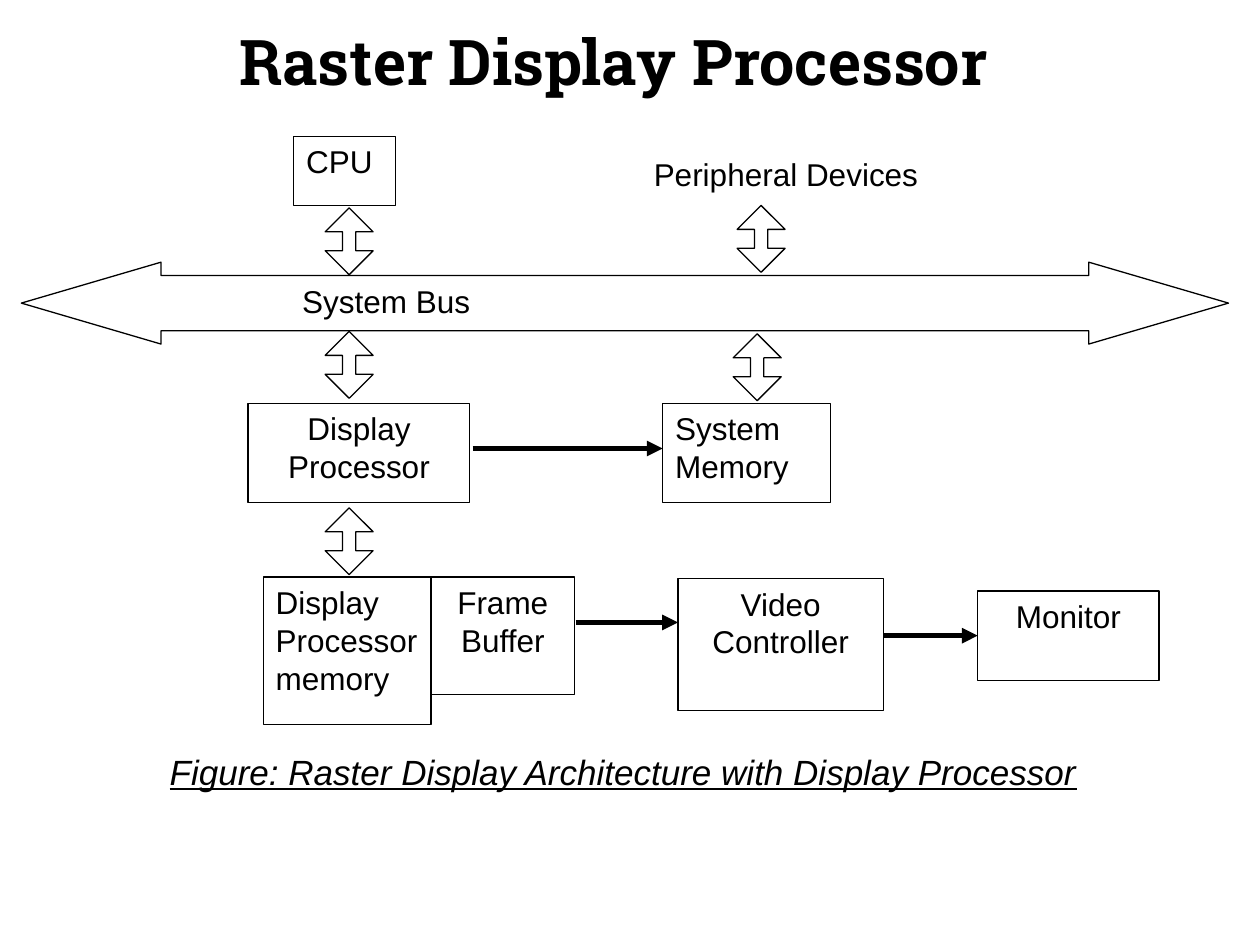
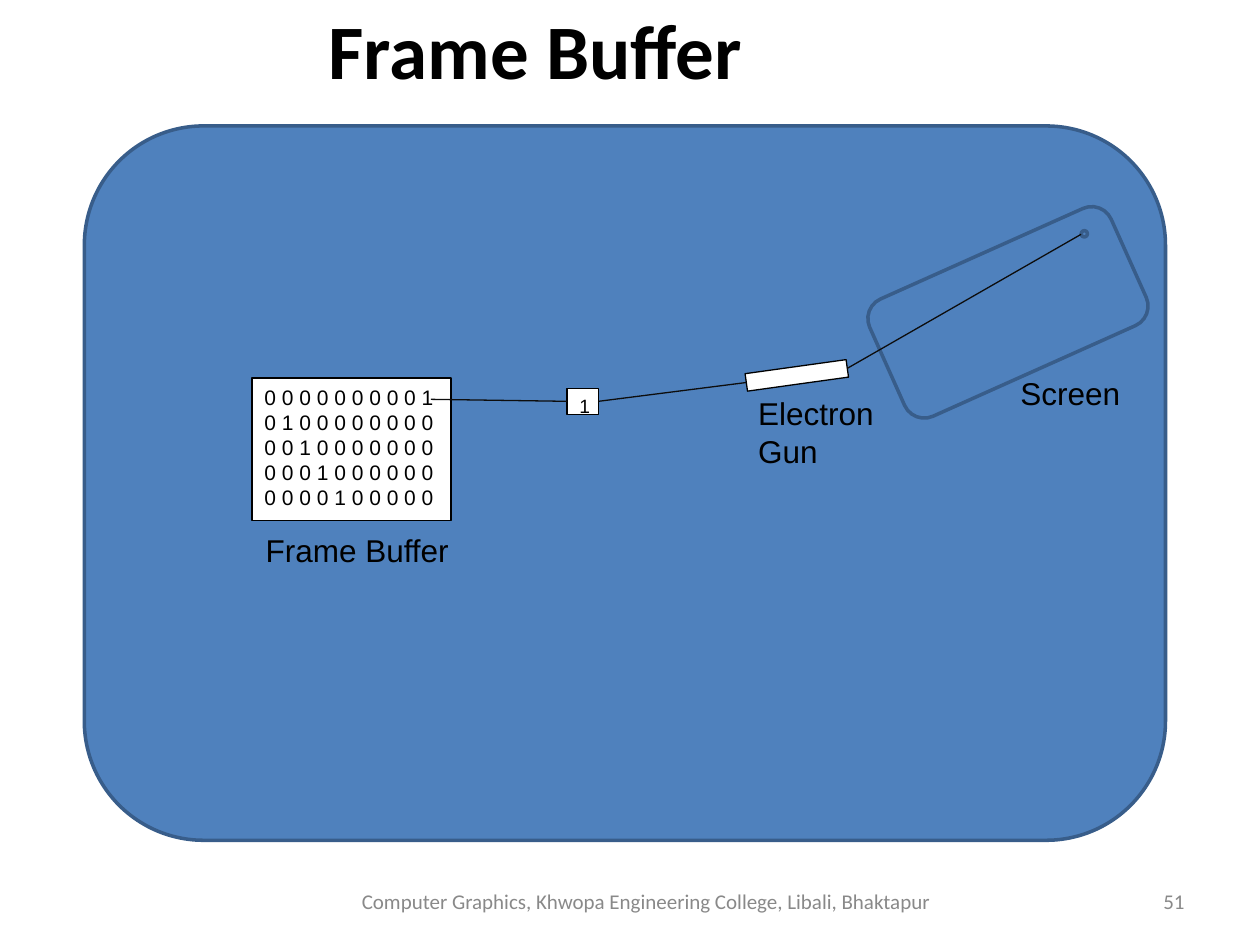
import pptx
import pptx.dml.color
import pptx.enum.shapes
import pptx.enum.text
import pptx.oxml
import pptx.oxml.ns
import pptx.util

Pt = pptx.util.Pt
RGBColor = pptx.dml.color.RGBColor
PRESET = pptx.enum.shapes.MSO_SHAPE
ALIGN = pptx.enum.text.PP_ALIGN
ANCHOR = pptx.enum.text.MSO_ANCHOR

BLACK = RGBColor(0x00, 0x00, 0x00)
WHITE = RGBColor(0xFF, 0xFF, 0xFF)
BEAM = RGBColor(0x0D, 0x0D, 0x0D)
BLUE = RGBColor(0x4F, 0x81, 0xBD)
NAVY = RGBColor(0x38, 0x5D, 0x8A)
GREY = RGBColor(0x89, 0x89, 0x89)


def draw(slide, preset, box, fill=WHITE, line=BLACK, weight=0.75, adjust=(), turn=0):
    """Add a preset shape; box is left, top, width, height in points."""
    shape = slide.shapes.add_shape(preset, *map(Pt, box))
    shape.shadow.inherit = False
    shape.fill.solid()
    shape.fill.fore_color.rgb = fill
    shape.line.color.rgb = line
    shape.line.width = Pt(weight)
    for index, value in enumerate(adjust):
        shape.adjustments[index] = value
    shape.rotation = turn
    return shape


def write(shape, text, font="Arial", size=18, color=BLACK, bold=False, italic=False,
          underline=False, align=ALIGN.LEFT, anchor=ANCHOR.TOP, wrap=True,
          indent=7.2, margin=3.6):
    """Fill a shape or text box, one paragraph per line of text."""
    frame = shape.text_frame
    frame.word_wrap = wrap
    if not wrap:
        frame.auto_size = pptx.enum.text.MSO_AUTO_SIZE.SHAPE_TO_FIT_TEXT
    frame.vertical_anchor = anchor
    frame.margin_left, frame.margin_right = Pt(indent), Pt(7.2)
    frame.margin_top = frame.margin_bottom = Pt(margin)
    frame.text = text
    for paragraph in frame.paragraphs:
        paragraph.alignment = align
        paragraph.font.name = font
        paragraph.font.size = Pt(size)
        paragraph.font.color.rgb = color
        paragraph.font.bold = bold
        paragraph.font.italic = italic
        paragraph.font.underline = underline


deck = pptx.Presentation()
deck.slide_width, deck.slide_height = Pt(720), Pt(540)
architecture, buffering = [deck.slides.add_slide(deck.slide_layouts[6]) for _ in range(2)]

# Architecture: system bus
bus = draw(architecture, PRESET.LEFT_RIGHT_ARROW, (12.2, 149.8, 689.8, 46.8),
           adjust=(0.676, 1.706))
write(bus, "System Bus", indent=106.5)

# Architecture: two-way links
for left, top in [(185.8, 118.8), (421.2, 117.4), (185.8, 189.4),
                  (419, 190.8), (185.8, 290.2)]:
    draw(architecture, PRESET.UP_DOWN_ARROW, (left, top, 27.4, 38.2), adjust=(0.5, 0.278))

# Architecture: units
units = {}
for name, box, align in [
    ("CPU", (167.8, 77.8, 58.3, 39.6), ALIGN.LEFT),
    ("Display Processor", (141.8, 230.4, 126.7, 56.9), ALIGN.CENTER),
    ("System Memory", (378.7, 230.4, 95.8, 56.9), ALIGN.LEFT),
    ("Display Processor memory", (150.5, 329.8, 95.8, 84.2), ALIGN.LEFT),
    ("Frame Buffer", (246.3, 329.8, 82.1, 67), ALIGN.CENTER),
    ("Video Controller", (387.4, 330.5, 117.4, 75.6), ALIGN.CENTER),
    ("Monitor", (558.7, 337.7, 103.7, 51.1), ALIGN.CENTER),
]:
    units[name] = draw(architecture, PRESET.RECTANGLE, box)
    write(units[name], name, align=align)

# Frame buffer: blue panel and screen
draw(buffering, PRESET.ROUNDED_RECTANGLE, (48.2, 72, 617.8, 408.2), BLUE, NAVY, 2, (0.167,))
draw(buffering, PRESET.ROUNDED_RECTANGLE, (500.4, 141.8, 151.2, 73.4), BLUE, NAVY, 2,
     (0.167,), -24.1)
draw(buffering, PRESET.OVAL, (617.8, 131.8, 3.6, 3.6), BLUE, NAVY, 2)

# Frame buffer: bits and electron gun
bit_rows = ["0 0 0 0 0 0 0 0 0 1",
            "0 1 0 0 0 0 0 0 0 0",
            "0 0 1 0 0 0 0 0 0 0",
            "0 0 0 1 0 0 0 0 0 0",
            "0 0 0 0 1 0 0 0 0 0"]
write(draw(buffering, PRESET.RECTANGLE, (144, 216, 113.8, 81.4)), "\n".join(bit_rows), size=12)
bit = draw(buffering, PRESET.RECTANGLE, (324, 221.8, 18, 15.1))
write(bit, "1", size=11)
gun = draw(buffering, PRESET.RECTANGLE, (426.2, 209.5, 58.3, 10.1), turn=-7.9)

# Titles, labels, caption and footer
heading = dict(bold=True)
loose = dict(wrap=False)
footer = dict(font="Calibri", size=12, color=GREY, anchor=ANCHOR.MIDDLE)
for slide, text, box, style in [
    (architecture, "Raster Display Processor", (129.6, 9.4, 467.3, 50.4),
     dict(heading, font="Roboto Slab", size=36, wrap=False)),
    (architecture, "Peripheral Devices", (366.5, 85, 180.7, 35.3), {}),
    (architecture, "Figure: Raster Display Architecture with Display Processor",
     (89.3, 424.8, 533.5, 31.7),
     dict(loose, size=20, italic=True, underline=True, align=ALIGN.CENTER,
          anchor=ANCHOR.MIDDLE)),
    (buffering, "Frame Buffer", (0, 0, 612, 55.4),
     dict(heading, font="Calibri", size=44, align=ALIGN.CENTER, anchor=ANCHOR.MIDDLE,
          margin=0)),
    (buffering, "Frame Buffer", (144.7, 300.2, 119.5, 28.8), loose),
    (buffering, "Screen", (576, 210.2, 71.3, 28.8), loose),
    (buffering, "Electron\nGun", (426.2, 221.8, 85, 50.4), loose),
    (buffering, "Computer Graphics, Khwopa Engineering College, Libali, Bhaktapur",
     (192.2, 500.4, 354.2, 28.8), dict(footer, align=ALIGN.CENTER)),
    (buffering, "51", (516.2, 500.4, 167.8, 28.8), dict(footer, align=ALIGN.RIGHT)),
]:
    write(slide.shapes.add_textbox(*map(Pt, box)), text, **style)

# Data flow arrows and beam lines: ends, then the units joined at each end
flow = dict(color=BLACK, weight=3, arrow=True)
beam = dict(color=BEAM, weight=0.75, arrow=False)
for slide, ends, source, target, style in [
    (architecture, (270, 256.3, 378.7, 256.3), None, None, flow),
    (architecture, (329, 355.7, 387.4, 355.7), None, None, flow),
    (architecture, (504.7, 363.25, 558.7, 363.25), None, units["Monitor"], flow),
    (buffering, (246.2, 228.2, 324, 229.35), None, bit, beam),
    (buffering, (342, 229.35, 426.5, 218.6), bit, gun, beam),
    (buffering, (484.2, 210.5, 617.8, 133.9), gun, None, beam),
]:
    link = slide.shapes.add_connector(pptx.enum.shapes.MSO_CONNECTOR.STRAIGHT, *map(Pt, ends))
    if source:
        link.begin_connect(source, 3)
    if target:
        link.end_connect(target, 1)
    # Joining ignores the tilt of the gun, so the ends are set again
    link.begin_x, link.begin_y, link.end_x, link.end_y = map(Pt, ends)
    link.line.color.rgb = style["color"]
    link.line.width = Pt(style["weight"])
    if style["arrow"]:
        head = pptx.oxml.parse_xml(
            f'<a:tailEnd {pptx.oxml.ns.nsdecls("a")} type="triangle"/>')
        link.line._get_or_add_ln().append(head)
    properties = link._element.spPr
    properties.append(pptx.oxml.parse_xml(f'<a:effectLst {pptx.oxml.ns.nsdecls("a")}/>'))

deck.save("out.pptx")
